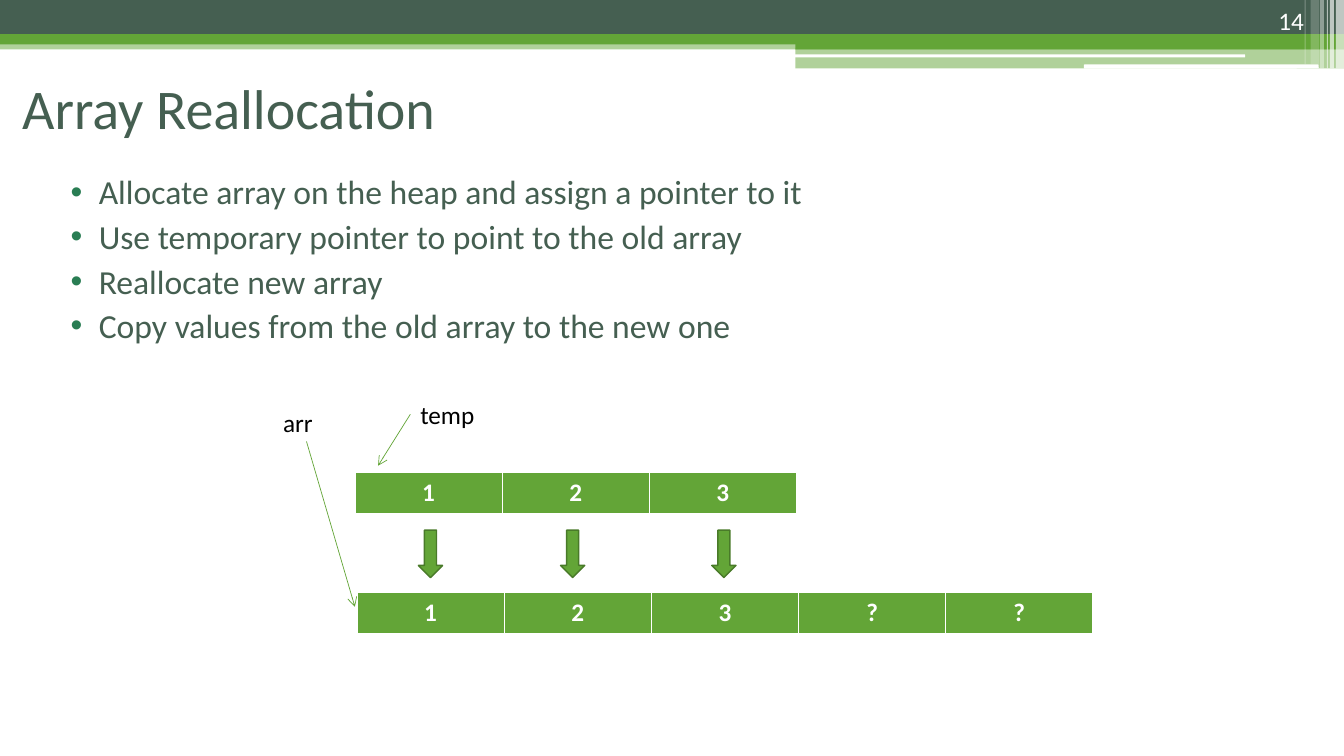
from lxml import etree
from pptx import Presentation
from pptx.dml.color import RGBColor
from pptx.enum import shapes, text
from pptx.oxml import ns
from pptx.util import Emu, Pt

PX = 9144  # 100 px to the inch
GREEN, DARK, WHITE, BLACK = "63A537", "455F51", "FFFFFF", "000000"
ARROW_EDGE, BULLET = "497A29", "297D53"
FONT = "Calibri"
CELL_WIDTH, CELL_HEIGHT = 146, 41


def px(*lengths):
    return [Emu(length * PX) for length in lengths]


def rgb(colour):
    return RGBColor.from_string(colour)


def add_xml(parent, tag, **attributes):
    return etree.SubElement(parent, ns.qn(tag), attributes)


def apply(target, values):
    for name, value in values.items():
        setattr(target, name, value)


class SlideBuilder:
    def __init__(self, slide, font):
        self.slide = slide
        self.font = font

    def add_words(self, paragraph, words, size, colour, align, bold=False):
        run = paragraph.add_run()
        run.text = words
        apply(run.font, {"name": self.font, "size": Pt(size), "bold": bold})
        run.font.color.rgb = rgb(colour)
        paragraph.alignment = align

    def shape(self, kind, box, fill, line=None, opacity=100):
        shape = self.slide.shapes.add_shape(kind, *px(*box))
        shape.shadow.inherit = False
        shape.fill.solid()
        shape.fill.fore_color.rgb = rgb(fill)
        if opacity < 100:
            colour = shape._element.spPr.find(".//" + ns.qn("a:srgbClr"))
            add_xml(colour, "a:alpha", val=str(opacity * 1000))
        if line:
            shape.line.color.rgb = rgb(line)
            shape.line.width = Pt(1)
        else:
            shape.line.fill.background()
        return shape

    def label(self, box, words, colour, align, anchor=text.MSO_ANCHOR.TOP):
        frame = self.slide.shapes.add_textbox(*px(*box)).text_frame
        apply(frame, {"word_wrap": True, "vertical_anchor": anchor})
        self.add_words(frame.paragraphs[0], words, 18, colour, align)

    def placeholder(self, shape, box, anchor):
        apply(shape, dict(zip(("left", "top", "width", "height"), px(*box))))
        apply(shape.text_frame, {"vertical_anchor": anchor, "word_wrap": True,
                                 "auto_size": text.MSO_AUTO_SIZE.NONE})
        return shape.text_frame

    def title(self, box, words):
        frame = self.placeholder(self.slide.shapes.title, box, text.MSO_ANCHOR.MIDDLE)
        frame.margin_left = px(22)[0]
        self.add_words(frame.paragraphs[0], words, 40, DARK, text.PP_ALIGN.LEFT)

    def bullets(self, box, items):
        frame = self.placeholder(self.slide.placeholders[1], box, text.MSO_ANCHOR.TOP)
        for index, item in enumerate(items):
            paragraph = frame.add_paragraph() if index else frame.paragraphs[0]
            self.add_words(paragraph, item, 24, DARK, text.PP_ALIGN.LEFT)
            paragraph.space_before = Pt(3)
            properties = paragraph._p.get_or_add_pPr()
            properties.set("marL", str(40 * PX))
            properties.set("indent", str(-28 * PX))
            add_xml(add_xml(properties, "a:buClr"), "a:srgbClr", val=BULLET)
            add_xml(properties, "a:buFont", typeface="Arial")
            add_xml(properties, "a:buChar", char="•")

    def array(self, left, top, values):
        box = px(left, top, CELL_WIDTH * len(values), CELL_HEIGHT)
        table = self.slide.shapes.add_table(1, len(values), *box).table
        table.horz_banding = False
        for cell, value in zip(table.rows[0].cells, values):
            cell.fill.solid()
            cell.fill.fore_color.rgb = rgb(GREEN)
            self.add_words(cell.text_frame.paragraphs[0], value, 18, WHITE,
                           text.PP_ALIGN.CENTER, bold=True)

    def pointer(self, start, end):
        connector = self.slide.shapes.add_connector(
            shapes.MSO_CONNECTOR.STRAIGHT, *px(*start, *end))
        connector.line.color.rgb = rgb(GREEN)
        connector.line.width = Pt(0.5)
        properties = connector._element.spPr
        add_xml(properties.find(ns.qn("a:ln")), "a:tailEnd", type="arrow")
        add_xml(properties, "a:effectLst")


def main():
    presentation = Presentation()
    presentation.slide_width, presentation.slide_height = px(1333, 750)
    slide = presentation.slides.add_slide(presentation.slide_layouts[1])
    builder = SlideBuilder(slide, FONT)
    kinds = shapes.MSO_SHAPE

    # Header bands
    for box, colour, opacity in (
        ((0, 40, 1333, 9), GREEN, 50),
        ((0, 0, 1333, 34), DARK, 100),
        ((0, 34, 1333, 10), GREEN, 100),
        ((789, 39, 544, 10), GREEN, 100),
        ((789, 48, 544, 20), GREEN, 50),
    ):
        builder.shape(kinds.RECTANGLE, box, colour, opacity=opacity)
    for box in ((788, 54, 447, 3), (1075, 64, 233, 4)):
        builder.shape(kinds.ROUNDED_RECTANGLE, box, WHITE)

    # Pale stripes at the right edge
    for left, width, height, opacity in (
        (1325, 8, 68, 65), (1319, 4, 68, 65), (1316, 1, 68, 60),
        (1309, 4, 68, 40), (1300, 8, 64, 20), (1294, 1, 64, 30),
    ):
        builder.shape(kinds.RECTANGLE, (left, 0, width, height), WHITE, opacity=opacity)

    # Slide number, title and list
    builder.label((1192, 0, 111, 40), "14", WHITE, text.PP_ALIGN.RIGHT,
                  text.MSO_ANCHOR.BOTTOM)
    builder.title((0, 48, 1200, 117), "Array Reallocation")
    builder.bullets((48, 165, 1200, 473), (
        "Allocate array on the heap and assign a pointer to it",
        "Use temporary pointer to point to the old array",
        "Reallocate new array",
        "Copy values from the old array to the new one",
    ))

    # Old and new arrays, with the copy arrows between them
    builder.array(352, 469, "123")
    builder.array(354, 588, "123??")
    copy_arrows = [builder.shape(kinds.DOWN_ARROW, (left, 526, 24, 47), GREEN, ARROW_EDGE)
                   for left in (415, 556, 706)]
    slide.shapes.add_group_shape(copy_arrows)

    # Pointers
    builder.label((210, 399, 110, 40), "arr", BLACK, text.PP_ALIGN.RIGHT)
    builder.label((407, 391, 110, 40), "temp", BLACK, text.PP_ALIGN.LEFT)
    builder.pointer((407, 411), (375, 462))
    builder.pointer((304, 438), (352, 602))

    presentation.save("out.pptx")


if __name__ == "__main__":
    main()
